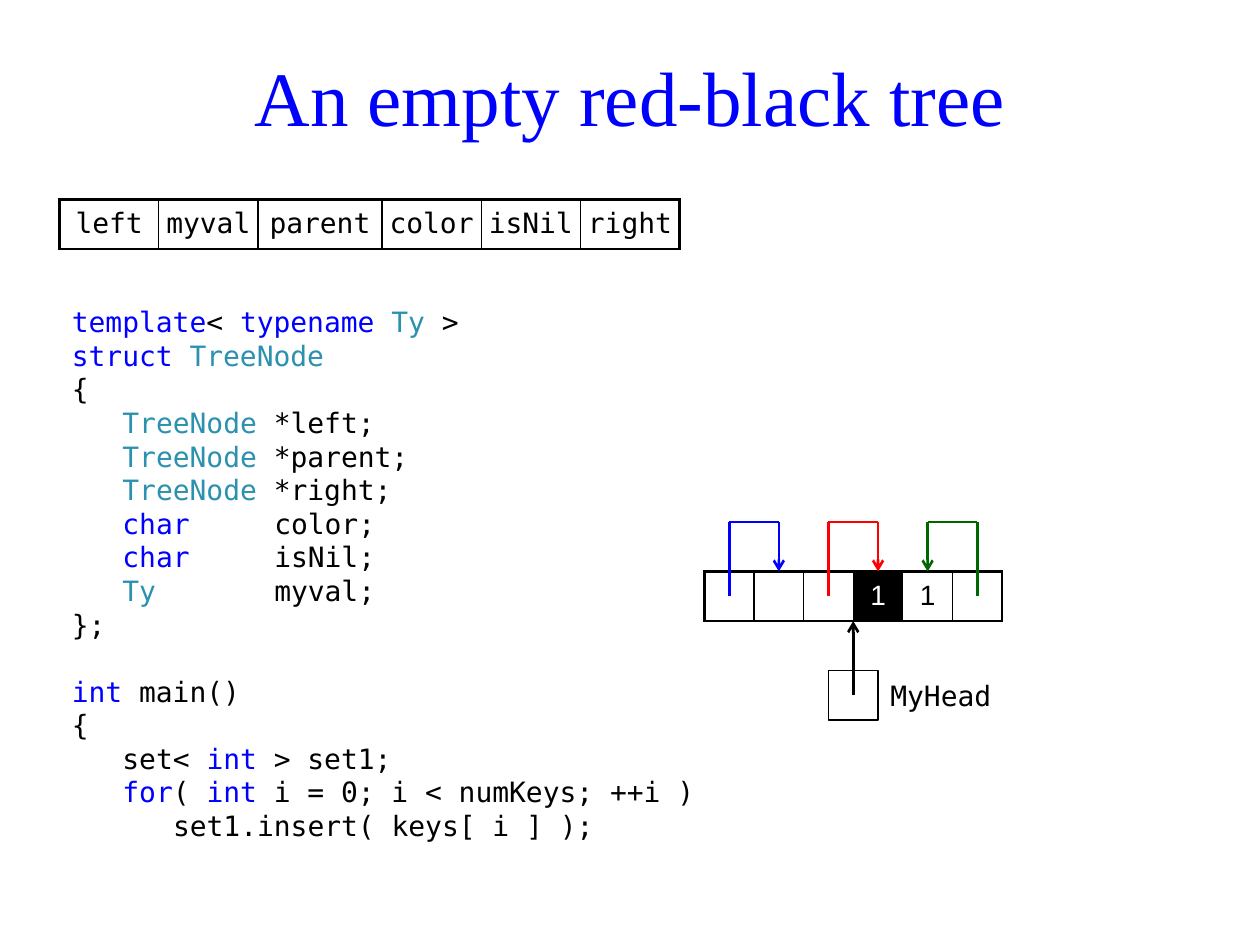
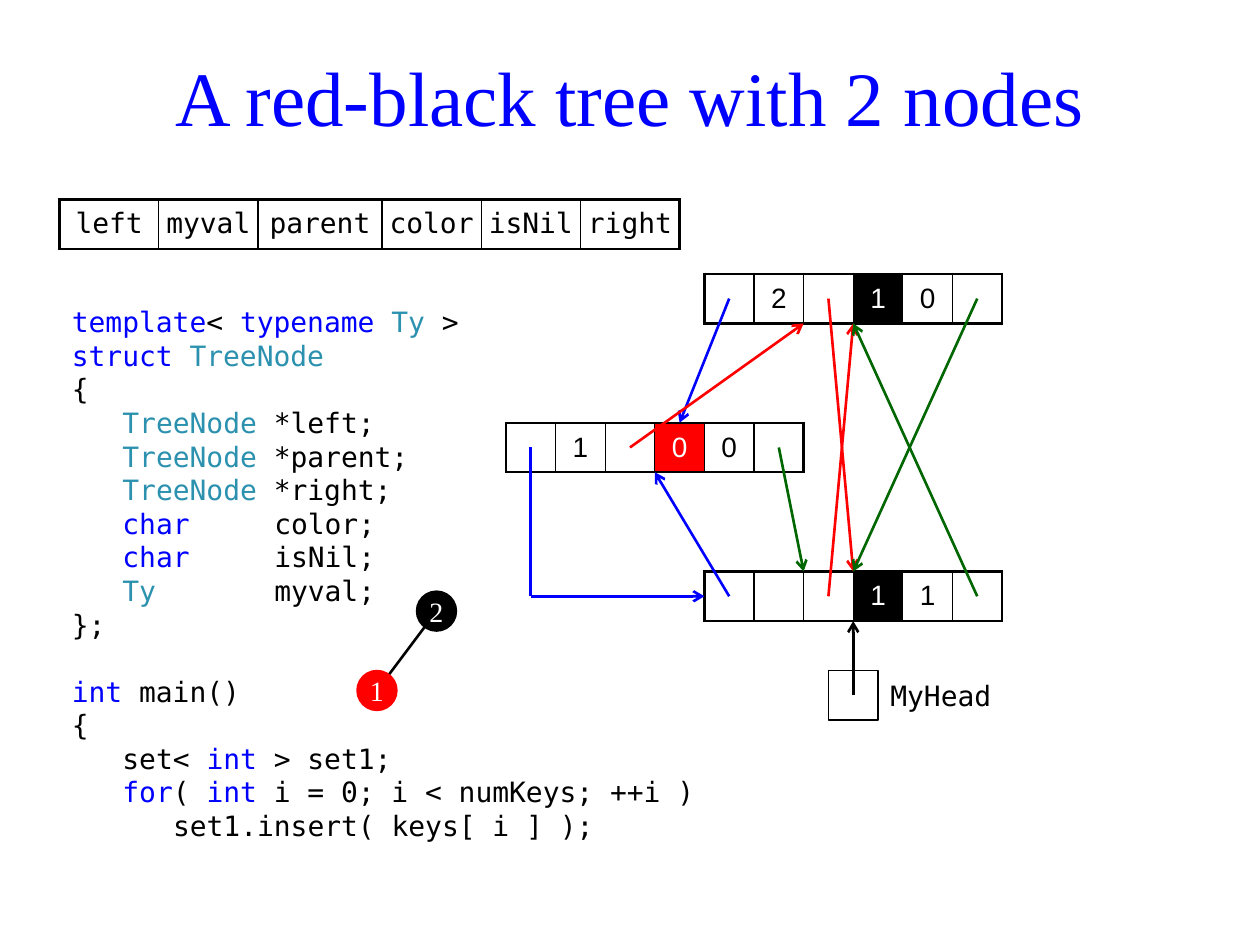
from dataclasses import dataclass
from itertools import accumulate, groupby

from lxml.etree import SubElement
from pptx import Presentation
from pptx.dml.color import RGBColor as Color
from pptx.enum.shapes import MSO_CONNECTOR as Connector, MSO_SHAPE as Preset
from pptx.enum.text import MSO_ANCHOR as Anchor, PP_ALIGN as Align
from pptx.oxml.ns import qn
from pptx.slide import Slide
from pptx.table import _Cell as Cell
from pptx.text.text import TextFrame
from pptx.util import Emu, Inches, Pt

EMU_PER_PX = 7200
CELL = 50
HALF = CELL // 2

Point = tuple[int, int]


@dataclass(frozen=True)
class Theme:
    black: Color = Color(0, 0, 0)
    white: Color = Color(255, 255, 255)
    blue: Color = Color(0, 0, 255)
    red: Color = Color(255, 0, 0)
    green: Color = Color(0, 0x66, 0)
    teal: Color = Color(0x2B, 0x91, 0xAF)
    serif: str = "Times New Roman"
    sans: str = "Arial"
    mono: str = "DejaVu Sans Mono"
    title_size: float = 44
    text_size: float = 16
    blank_line: float = 19.2
    thick: float = 1.5
    outline: float = 1
    thin: float = 0.75


THEME = Theme()
KEYWORDS = {"template", "typename", "struct", "char", "int", "for"}
TYPES = {"Ty", "TreeNode"}


@dataclass(frozen=True)
class CodeLine:
    text: str
    tab_stops: tuple[int, ...] = ()
    gap_before: bool = False


@dataclass(frozen=True)
class Node:
    left: int
    top: int
    value: str
    fill: Color
    color: str
    is_nil: str

    def point(self, halves_across: int, halves_down: int) -> Point:
        return self.left + HALF * halves_across, self.top + HALF * halves_down

    def slot(self, index: int) -> Point:
        return self.point(2 * index + 1, 1)


@dataclass(frozen=True)
class Link:
    color: Color
    points: tuple[Point, ...]
    arrow: bool = True


@dataclass(frozen=True)
class Disc:
    left: int
    top: int
    value: str
    fill: Color


FIELDS = ("left", "myval", "parent", "color", "isNil", "right")
FIELD_WIDTHS = (100, 100, 125, 100, 100, 100)
LEFT, PARENT, RIGHT = 0, 2, 5

LEVEL_1, LEVEL_2, MEMBER = 51, 102, 204
CODE = (
    CodeLine("template< typename Ty >"),
    CodeLine("struct TreeNode"),
    CodeLine("{"),
    CodeLine("\tTreeNode *left;", (LEVEL_1,)),
    CodeLine("\tTreeNode *parent;", (LEVEL_1,)),
    CodeLine("\tTreeNode *right;", (LEVEL_1,)),
    CodeLine("\tchar\tcolor;", (LEVEL_1, MEMBER)),
    CodeLine("\tchar\tisNil;", (LEVEL_1, MEMBER)),
    CodeLine("\tTy\tmyval;", (LEVEL_1, MEMBER)),
    CodeLine("};"),
    CodeLine("int main()", gap_before=True),
    CodeLine("{"),
    CodeLine("\tset< int > set1;", (LEVEL_1,)),
    CodeLine("\tfor( int i = 0; i < numKeys; ++i )", (LEVEL_1,)),
    CodeLine("\tset1.insert( keys[ i ] );", (LEVEL_2,)),
)

HEAD = Node(710, 576, "", THEME.black, "1", "1")
ROOT = Node(710, 276, "2", THEME.black, "1", "0")
CHILD = Node(510, 426, "1", THEME.red, "0", "0")


def px(length: int) -> Emu:
    return Emu(length * EMU_PER_PX)


def style_text(frame: TextFrame, font: str, size: float, color: Color, align: Align) -> None:
    frame.word_wrap = True
    frame.vertical_anchor = Anchor.MIDDLE
    for paragraph in frame.paragraphs:
        paragraph.alignment = align
        for run in paragraph.runs:
            run.font.name = font
            run.font.size = Pt(size)
            run.font.color.rgb = color


def clear_margins(box: TextFrame | Cell) -> None:
    box.margin_left = box.margin_top = box.margin_right = box.margin_bottom = 0


def add_text_box(slide: Slide, left: int, top: int, width: int, height: int) -> TextFrame:
    return slide.shapes.add_textbox(px(left), px(top), px(width), px(height)).text_frame


def add_title(slide: Slide, title: str) -> None:
    frame = add_text_box(slide, 60, 27, 1150, 150)
    frame.text = title
    frame.paragraphs[0].line_spacing = 0.9
    style_text(frame, THEME.serif, THEME.title_size, THEME.blue, Align.CENTER)


def code_color(token: str) -> Color:
    if token in KEYWORDS:
        return THEME.blue
    return THEME.teal if token in TYPES else THEME.black


def add_code(slide: Slide) -> None:
    frame = add_text_box(slide, 60, 301, 800, 575)
    frame.word_wrap = True
    for index, line in enumerate(CODE):
        paragraph = frame.add_paragraph() if index else frame.paragraphs[0]
        if line.gap_before:
            paragraph.space_before = Pt(THEME.blank_line)
        if line.tab_stops:
            tab_list = SubElement(paragraph._p.get_or_add_pPr(), qn("a:tabLst"))
            for stop in line.tab_stops:
                SubElement(tab_list, qn("a:tab"), pos=str(px(stop)), algn="l")
        tokens = ["".join(letters) for _, letters in groupby(line.text, str.isalnum)]
        for color, group in groupby(tokens, code_color):
            run = paragraph.add_run()
            run.text = "".join(group)
            run.font.name = THEME.mono
            run.font.size = Pt(THEME.text_size)
            run.font.color.rgb = color


def set_borders(cell: Cell, first: bool, last: bool) -> None:
    widths = {
        "a:lnL": THEME.thick if first else THEME.thin,
        "a:lnR": THEME.thick if last else THEME.thin,
        "a:lnT": THEME.thick,
        "a:lnB": THEME.thick,
    }
    properties = cell._tc.get_or_add_tcPr()
    for tag, width in widths.items():
        line = SubElement(properties, qn(tag), w=str(Pt(width)))
        fill = SubElement(line, qn("a:solidFill"))
        SubElement(fill, qn("a:srgbClr"), val=str(THEME.black))


def add_record(
    slide: Slide,
    left: int,
    top: int,
    widths: tuple[int, ...],
    texts: tuple[str, ...],
    font: str,
    fills: dict[int, Color],
) -> None:
    table = slide.shapes.add_table(
        1, len(texts), px(left), px(top), px(sum(widths)), px(CELL)
    ).table
    table.first_row = table.horz_banding = False
    for index, (width, text) in enumerate(zip(widths, texts)):
        table.columns[index].width = px(width)
        cell = table.cell(0, index)
        cell.text_frame.text = text
        color = THEME.white if index in fills else THEME.black
        style_text(cell.text_frame, font, THEME.text_size, color, Align.CENTER)
        clear_margins(cell)
        cell.vertical_anchor = Anchor.MIDDLE
        set_borders(cell, index == 0, index == len(texts) - 1)
        if index in fills:
            cell.fill.solid()
            cell.fill.fore_color.rgb = fills[index]
        else:
            cell.fill.background()


def add_node(slide: Slide, node: Node) -> None:
    texts = ("", node.value, "", node.color, node.is_nil, "")
    widths = (CELL,) * len(texts)
    add_record(slide, node.left, node.top, widths, texts, THEME.sans, {3: node.fill})


def add_link(slide: Slide, link: Link) -> None:
    for start, end in zip(link.points, link.points[1:]):
        connector = slide.shapes.add_connector(
            Connector.STRAIGHT, *(px(length) for length in start + end)
        )
        connector.line.color.rgb = link.color
        connector.line.width = Pt(THEME.thick)
        if link.arrow and end == link.points[-1]:
            SubElement(connector.line._get_or_add_ln(), qn("a:tailEnd"), type="arrow")
        SubElement(connector._element.spPr, qn("a:effectLst"))


def add_preset(
    slide: Slide, preset: Preset, left: int, top: int, size: int, fill: Color, line: Color
) -> TextFrame:
    shape = slide.shapes.add_shape(preset, px(left), px(top), px(size), px(size))
    shape.shadow.inherit = False
    shape.fill.solid()
    shape.fill.fore_color.rgb = fill
    shape.line.color.rgb = line
    shape.line.width = Pt(THEME.outline)
    return shape.text_frame


def add_disc(slide: Slide, disc: Disc) -> None:
    frame = add_preset(slide, Preset.OVAL, disc.left, disc.top, 40, disc.fill, disc.fill)
    frame.text = disc.value
    clear_margins(frame)
    style_text(frame, THEME.serif, THEME.text_size, THEME.white, Align.CENTER)


def add_head_pointer(slide: Slide) -> None:
    left, top = HEAD.point(5, 4)
    add_preset(slide, Preset.RECTANGLE, left, top, CELL, THEME.white, THEME.black)
    label = add_text_box(slide, left + CELL, top, 150, CELL)
    label.text = "MyHead"
    style_text(label, THEME.mono, THEME.text_size, THEME.black, Align.LEFT)
    add_link(slide, Link(THEME.black, (HEAD.point(6, 5), HEAD.point(6, 2))))


def loop(color: Color, start: int, end: int) -> Link:
    across, target = 2 * start + 1, 2 * end + 1
    corners = (HEAD.point(across, -2), HEAD.point(target, -2))
    return Link(color, (HEAD.slot(start), *corners, HEAD.point(target, 0)))


def add_tree_slide(
    presentation: Presentation, title: str, nodes: tuple[Node, ...], links: tuple[Link, ...]
) -> Slide:
    slide = presentation.slides.add_slide(presentation.slide_layouts[6])
    add_title(slide, title)
    add_code(slide)
    add_record(slide, 60, 201, FIELD_WIDTHS, FIELDS, THEME.mono, {})
    for node in nodes:
        add_node(slide, node)
    add_head_pointer(slide)
    for link in links:
        add_link(slide, link)
    return slide


def main() -> None:
    presentation = Presentation()
    presentation.slide_width, presentation.slide_height = Inches(10), Inches(7.5)
    blue, red, green = THEME.blue, THEME.red, THEME.green

    loops = (loop(blue, LEFT, 1), loop(red, PARENT, 3), loop(green, RIGHT, 4))
    add_tree_slide(presentation, "An empty red-black tree", (HEAD,), loops)

    links = (
        Link(blue, (ROOT.slot(LEFT), CHILD.point(7, 0))),
        Link(red, (ROOT.slot(PARENT), HEAD.point(6, 0))),
        Link(green, (ROOT.slot(RIGHT), HEAD.point(6, 0))),
        Link(blue, (CHILD.slot(LEFT), CHILD.point(1, 7), HEAD.point(0, 1))),
        Link(red, (CHILD.slot(PARENT), ROOT.point(4, 2))),
        Link(green, (CHILD.slot(RIGHT), HEAD.point(4, 0))),
        Link(blue, (HEAD.slot(LEFT), CHILD.point(6, 2))),
        Link(red, (HEAD.slot(PARENT), ROOT.point(6, 2))),
        Link(green, (HEAD.slot(RIGHT), ROOT.point(6, 2))),
        Link(THEME.black, ((440, 616), (380, 696)), arrow=False),
    )
    slide = add_tree_slide(
        presentation, "A red-black tree with 2 nodes", (CHILD, ROOT, HEAD), links
    )
    for disc in (Disc(420, 596, "2", THEME.black), Disc(360, 676, "1", red)):
        add_disc(slide, disc)

    presentation.save("out.pptx")


if __name__ == "__main__":
    main()
